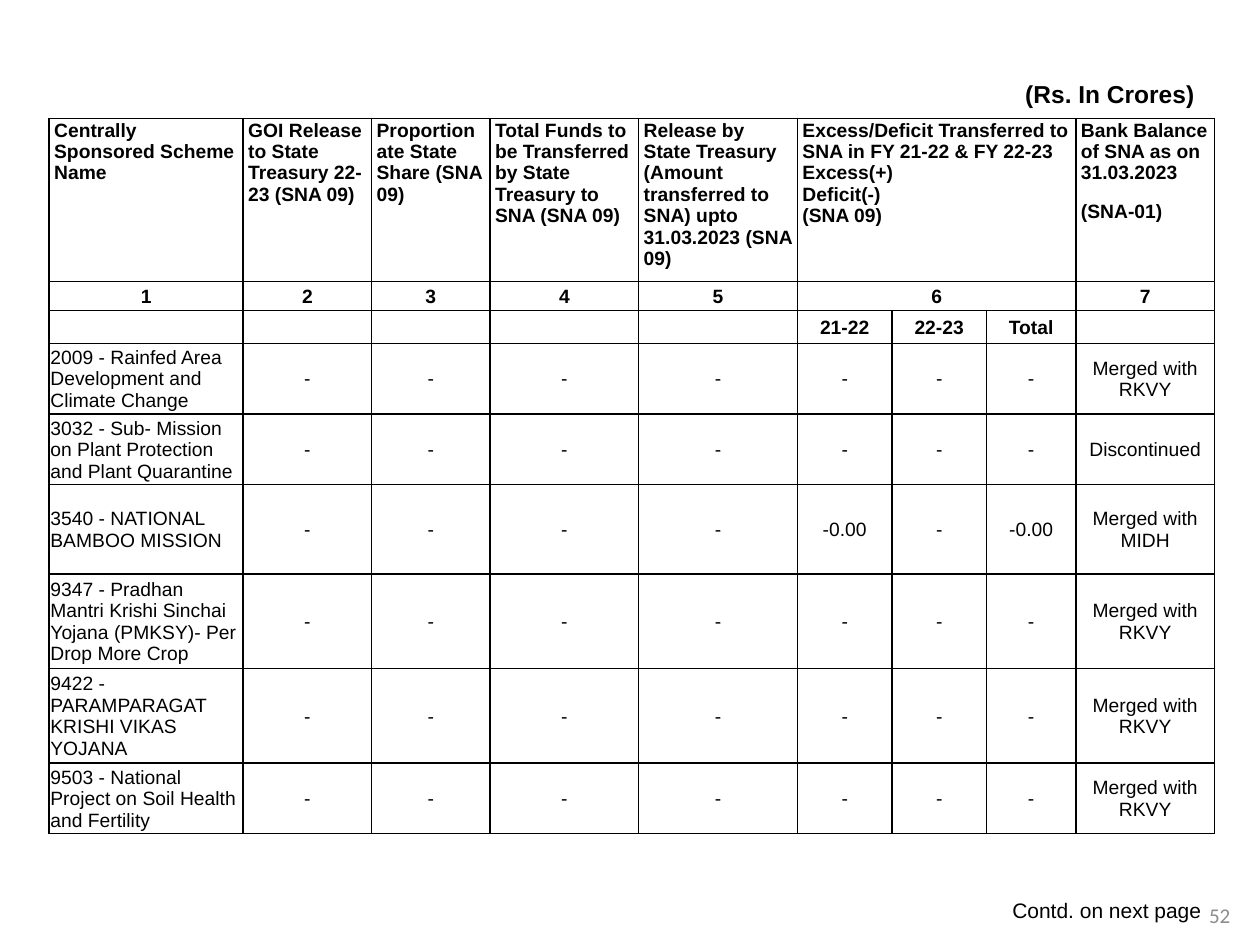
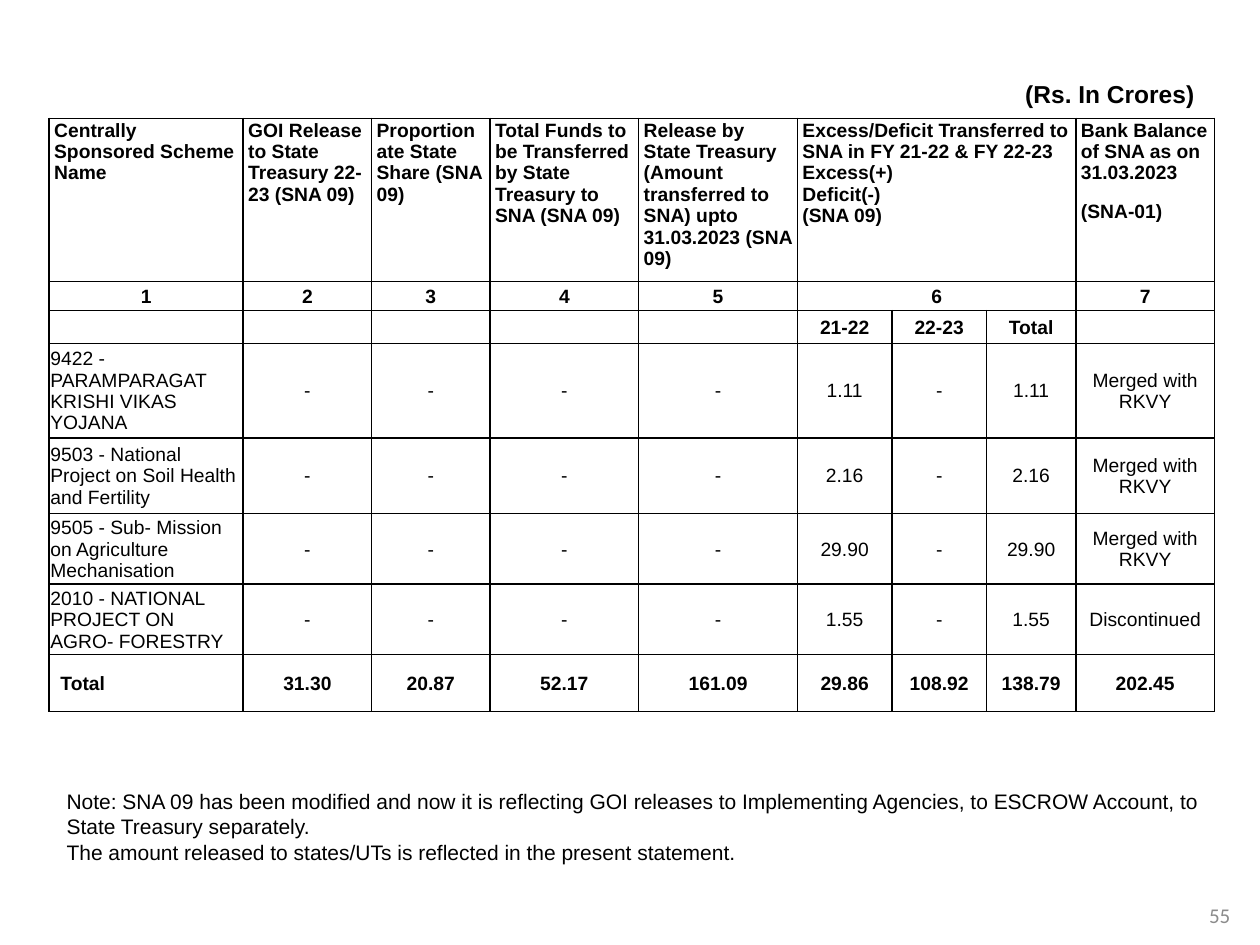
from typing import NamedTuple

from lxml import etree
from pptx import Presentation
from pptx.dml.color import RGBColor
from pptx.enum.text import MSO_ANCHOR, PP_ALIGN
from pptx.oxml.ns import qn
from pptx.util import Inches, Pt

LEFT, CENTER, RIGHT = PP_ALIGN.LEFT, PP_ALIGN.CENTER, PP_ALIGN.RIGHT
TOP, MIDDLE, BOTTOM = MSO_ANCHOR.TOP, MSO_ANCHOR.MIDDLE, MSO_ANCHOR.BOTTOM
BLACK, GRAY = "000000", "8C8C8C"

COLS = [1.54, 1.02, 0.94, 1.18, 1.26, 0.75, 0.75, 0.71, 1.1]
HEAD_ROWS = [1.29, 0.23, 0.26]
SPAN = (5, 7)
HEADS = [
    "Centrally Sponsored Scheme Name",
    "GOI Release to State Treasury 22-23 (SNA 09)",
    "Proportionate State Share (SNA 09)",
    "Total Funds to be Transferred by State Treasury to SNA (SNA 09)",
    "Release by State Treasury (Amount transferred to SNA) upto 31.03.2023 (SNA 09)",
    "Excess/Deficit Transferred to SNA in FY 21-22 & FY 22-23\nExcess(+)\nDeficit(-)\n(SNA 09)",
    "", "",
    "Bank Balance of SNA as on 31.03.2023\n(SNA-01)",
]
NUMBERS = ["1", "2", "3", "4", "5", "6", "", "", "7"]
YEARS = [""] * 5 + ["21-22", "22-23", "Total", ""]
NOTE = (
    "Note: SNA 09 has been modified and now it is reflecting GOI releases to "
    "Implementing Agencies, to ESCROW Account, to State Treasury separately.\n"
    "The amount released to states/UTs is reflected in the present statement."
)


class Style(NamedTuple):
    size: float = 11
    bold: bool = False
    align: PP_ALIGN = LEFT
    anchor: MSO_ANCHOR = MIDDLE
    color: str = BLACK
    font: str = "Arial"
    after: float = 0
    line: float = 1.0


class Box(NamedTuple):
    left: float
    top: float
    width: float
    height: float


class Scheme(NamedTuple):
    name: str
    height: float
    bank: str
    excess: str = "-"


class Page(NamedTuple):
    number: str
    schemes: list[Scheme]
    totals: list[str]


HEAD = Style(bold=True, anchor=TOP)
COUNT = HEAD._replace(align=CENTER, line=1.15)
YEAR = Style(bold=True, align=CENTER)
NAME = Style()
VALUE = Style(align=CENTER)
TOTAL = Style(bold=True)
UNIT = Style(14, True, RIGHT, BOTTOM)
FOOT = Style(12, align=CENTER)
FOLIO = FOOT._replace(color=GRAY, font="Calibri")

RKVY, MIDH, ENDED = "Merged with RKVY", "Merged with MIDH", "Discontinued"
PARAM = "9422 - PARAMPARAGAT KRISHI VIKAS YOJANA"
SOIL = "9503 - National Project on Soil Health and Fertility"
PAGES = [
    Page("52", [
        Scheme("2009 - Rainfed Area Development and Climate Change", 0.56, RKVY),
        Scheme("3032 - Sub- Mission on Plant Protection and Plant Quarantine", 0.56, ENDED),
        Scheme("3540 - NATIONAL BAMBOO MISSION", 0.71, MIDH, "-0.00"),
        Scheme("9347 - Pradhan Mantri Krishi Sinchai Yojana (PMKSY)- Per Drop More Crop", 0.75, RKVY),
        Scheme(PARAM, 0.75, RKVY),
        Scheme(SOIL, 0.56, RKVY),
    ], []),
    Page("55", [
        Scheme(PARAM, 0.75, RKVY, "1.11"),
        Scheme(SOIL, 0.6, RKVY, "2.16"),
        Scheme("9505 - Sub- Mission on Agriculture Mechanisation", 0.56, RKVY, "29.90"),
        Scheme("2010 - NATIONAL PROJECT ON AGRO- FORESTRY", 0.56, ENDED, "1.55"),
    ], ["Total", "31.30", "20.87", "52.17", "161.09", "29.86", "108.92", "138.79", "202.45"]),
]


def rgb(color: str) -> RGBColor:
    return RGBColor.from_string(color)


def write(frame, text: str, style: Style) -> None:
    frame.text = text
    for para in frame.paragraphs:
        para.alignment = style.align
        para.line_spacing = style.line
        para.space_after = Pt(style.after)
        for run in para.runs:
            run.font.size = Pt(style.size)
            run.font.bold = style.bold
            run.font.name = style.font
            run.font.color.rgb = rgb(style.color)


def add_text(slide, box: Box, text: str, style: Style, wrap: bool = True):
    frame = slide.shapes.add_textbox(*map(Inches, box)).text_frame
    frame.word_wrap = wrap
    frame.vertical_anchor = style.anchor
    write(frame, text, style)
    return frame


def add_edges(cell) -> None:
    """Give all four sides of the cell a thin black line."""
    props = cell._tc.get_or_add_tcPr()
    for place, side in enumerate(("lnL", "lnR", "lnT", "lnB")):
        line = etree.Element(qn(f"a:{side}"), w=str(Pt(1)))
        fill = etree.SubElement(line, qn("a:solidFill"))
        etree.SubElement(fill, qn("a:srgbClr"), val=BLACK)
        props.insert(place, line)


def fill_cell(cell, text: str, style: Style, inset: float) -> None:
    cell.fill.background()
    cell.margin_left = Inches(inset)
    cell.margin_right = Inches(min(inset, 0.04))
    cell.margin_top, cell.margin_bottom = Inches(0.01), Inches(0)
    cell.vertical_anchor = style.anchor
    write(cell.text_frame, text, style)
    if not text:
        end = cell.text_frame.paragraphs[0]._p.get_or_add_endParaRPr()
        end.set("sz", str(style.size * 100))
    add_edges(cell)


def cell_style(row: int, col: int, last: bool) -> tuple[Style, float]:
    """Return the text style and the side inset for a place in the table."""
    if row == 0:
        return HEAD._replace(after=10 if col == len(COLS) - 1 else 0), 0.04
    if row == 1:
        return COUNT, 0.04
    if row == 2:
        return YEAR, 0.01
    if last:
        return (YEAR, 0.01) if col else (TOTAL, 0.09)
    return (VALUE if col else NAME), 0.01


def add_funds(slide, page: Page) -> None:
    rows = [HEADS, NUMBERS, YEARS]
    rows += [[s.name, *"----", s.excess, "-", s.excess, s.bank] for s in page.schemes]
    heights = HEAD_ROWS + [s.height for s in page.schemes]
    if page.totals:
        rows.append(page.totals)
        heights.append(0.45)
    box = Box(0.39, 0.94, sum(COLS), sum(heights))
    table = slide.shapes.add_table(len(rows), len(COLS), *map(Inches, box)).table
    table.first_row = table.horz_banding = False
    for col, width in zip(table.columns, COLS):
        col.width = Inches(width)
    for row, height in zip(table.rows, heights):
        row.height = Inches(height)
    for r, texts in enumerate(rows):
        for c, text in enumerate(texts):
            style, inset = cell_style(r, c, texts is page.totals)
            fill_cell(table.cell(r, c), text, style, inset)
    for r in range(2):
        table.cell(r, SPAN[0]).merge(table.cell(r, SPAN[1]))


def add_page(deck, page: Page) -> None:
    slide = deck.slides.add_slide(deck.slide_layouts[6])
    unit = add_text(slide, Box(0.43, 0.34, 9.21, 0.57), "(Rs. In Crores)", UNIT)
    unit.margin_right = Inches(0.16)
    add_funds(slide, page)
    add_text(slide, Box(9.48, 7.06, 0.4, 0.4), page.number, FOLIO)
    if page.totals:
        add_text(slide, Box(0.43, 6.21, 9.22, 0.71), NOTE, Style(12, anchor=TOP))
    else:
        add_text(slide, Box(7.93, 7.07, 1.71, 0.3), "Contd. on next page", FOOT, wrap=False)


def main() -> None:
    deck = Presentation()
    deck.slide_width, deck.slide_height = Inches(10), Inches(7.5)
    for page in PAGES:
        add_page(deck, page)
    deck.save("out.pptx")


if __name__ == "__main__":
    main()
